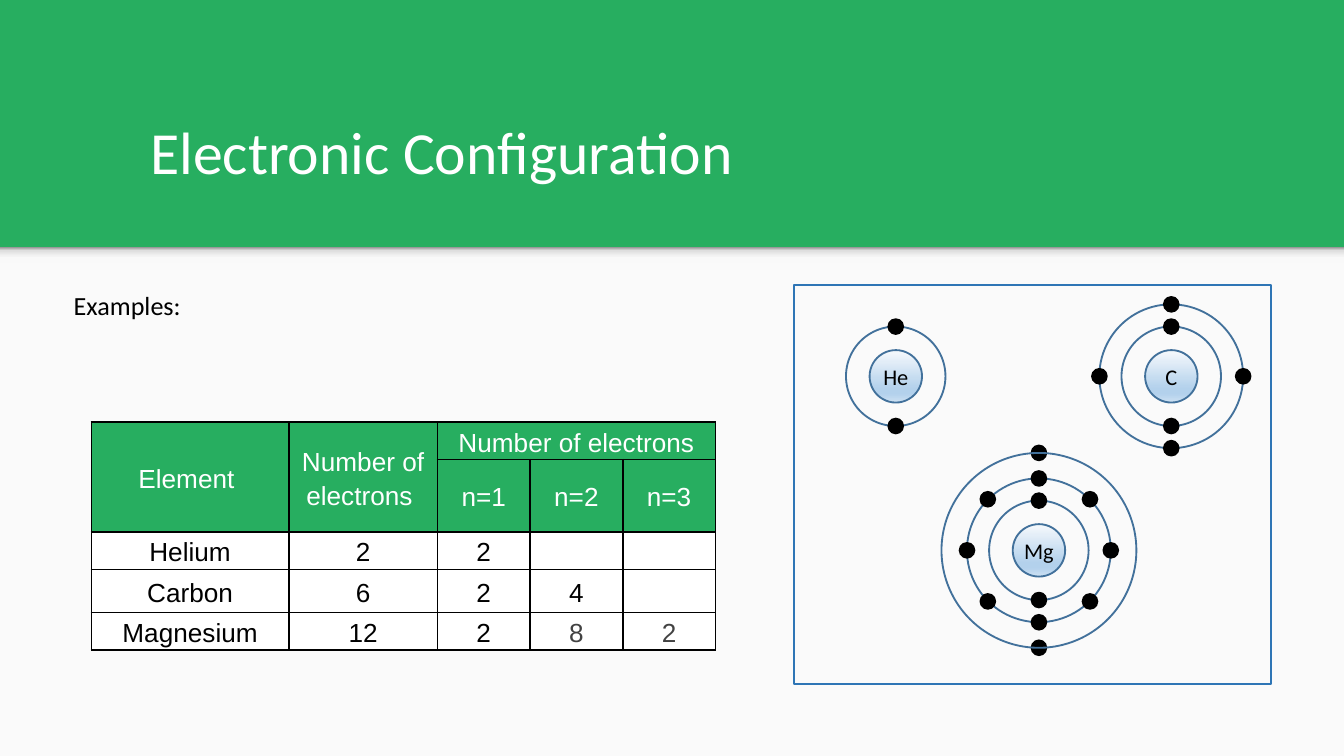
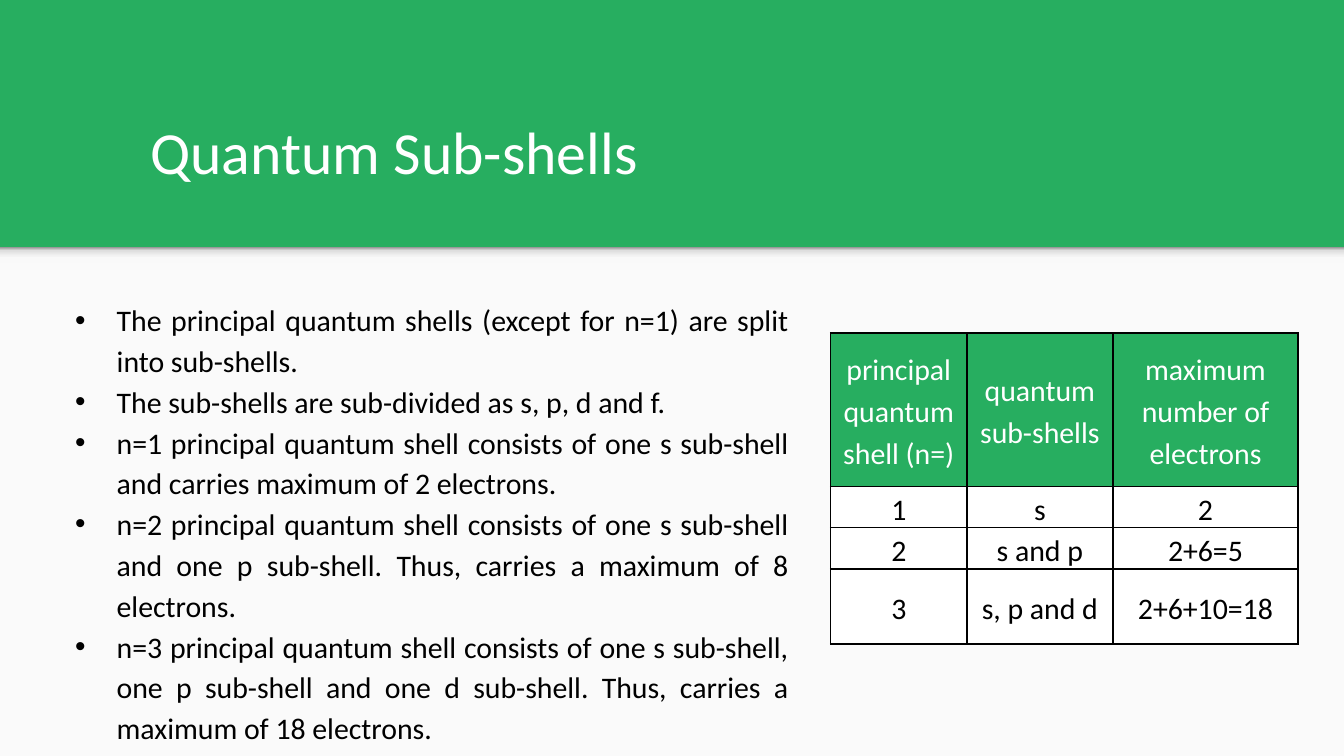
from dataclasses import dataclass
from math import cos, radians, sin

from pptx import Presentation
from pptx.dml.color import RGBColor
from pptx.enum.shapes import MSO_SHAPE as Shape
from pptx.enum.text import MSO_ANCHOR as Anchor, PP_ALIGN as Align
from pptx.oxml import parse_xml
from pptx.oxml.ns import nsdecls
from pptx.util import Emu, Pt

EMU_PER_PX = 4572  # 200 px to the inch
WIDTH, HEIGHT = 2000, 1125
BAND_HEIGHT = 368

GREEN = RGBColor(0x27, 0xAE, 0x60)
PAPER = RGBColor(0xFA, 0xFA, 0xFA)
WHITE = RGBColor(0xFF, 0xFF, 0xFF)
BLACK = RGBColor(0x00, 0x00, 0x00)
GREY = RGBColor(0x42, 0x42, 0x42)
FRAME_BLUE = RGBColor(0x2E, 0x75, 0xB5)
RING_BLUE = RGBColor(0x42, 0x71, 0x9B)

EDGE_STOPS = ((0, RGBColor(0xF9, 0xF9, 0xF9)), (36, RGBColor(0xF9, 0xF9, 0xF9)),
              (80, RGBColor(0xDE, 0xDE, 0xDE)), (100, RGBColor(0x99, 0x99, 0x99)))
NUCLEUS_STOPS = ((0, RGBColor(0xF6, 0xF9, 0xFC)), (74, RGBColor(0xB3, 0xD1, 0xEC)),
                 (83, RGBColor(0xB3, 0xD1, 0xEC)), (100, RGBColor(0xCC, 0xE0, 0xF2)))

NUCLEUS_RADIUS = 39
ELECTRON_RADIUS = 11
POLES = (90, 270)
QUARTERS = (0, 90, 180, 270)
EIGHTHS = tuple(range(0, 360, 45))


@dataclass(frozen=True)
class Box:
    x: int
    y: int
    w: int
    h: int

    def emu(self) -> tuple[Emu, ...]:
        return tuple(px(v) for v in (self.x, self.y, self.w, self.h))


@dataclass(frozen=True)
class Shell:
    radius: int
    angles: tuple[int, ...]
    ring_on_top: bool = False


@dataclass(frozen=True)
class Atom:
    symbol: str
    x: int
    y: int
    shells: tuple[Shell, ...]


@dataclass(frozen=True)
class Grid:
    box: Box
    cols: tuple[int, ...]
    rows: tuple[int, ...]
    cells: tuple[tuple[str, ...], ...]
    font: str
    size: int
    header_rows: int = 1
    merges: tuple[tuple[int, int, int, int], ...] = ()
    grey_cells: tuple[tuple[int, int], ...] = ()


ATOMS = (
    Atom("He", 1333, 560, (Shell(74, POLES),)),
    Atom("C", 1743, 560, (Shell(74, POLES), Shell(107, QUARTERS))),
    Atom("Mg", 1546, 819, (Shell(74, POLES), Shell(107, EIGHTHS),
                           Shell(145, POLES, ring_on_top=True))),
)

CONFIGURATIONS = Grid(
    Box(136, 628, 930, 286), (294, 221, 138, 138, 138), (56, 56, 56, 64, 56),
    (("Element ", "Number of electrons ", "Number of electrons", "", ""),
     ("", "", "n=1", "n=2", "n=3"),
     ("Helium", "2", "2", "", ""),
     ("Carbon", "6", "2", "4", ""),
     ("Magnesium", "12", "2", "8", "2")),
    "Arial", 14, header_rows=2,
    merges=((0, 0, 1, 0), (0, 1, 1, 1), (0, 2, 0, 4)),
    grey_cells=((4, 3), (4, 4)),
)

SUB_SHELLS = Grid(
    Box(1236, 496, 696, 460), (203, 217, 276), (228, 60, 60, 112),
    (("principal quantum shell (n=)", "quantum sub-shells", "maximum number of electrons"),
     ("1", "s", "2"),
     ("2", "s and p", "2+6=5"),
     ("3", "s, p and d", "2+6+10=18")),
    "Calibri", 16,
)

SUB_SHELL_NOTES = (
    "The principal quantum shells (except for n=1) are split into sub-shells. ",
    "The sub-shells are sub-divided as s, p, d and f.",
    "n=1 principal quantum shell consists of one s sub-shell and carries maximum of 2 electrons.",
    "n=2 principal quantum shell consists of one s sub-shell and one p sub-shell. "
    "Thus, carries a maximum of 8 electrons.",
    "n=3 principal quantum shell consists of one s sub-shell, one p sub-shell and one d "
    "sub-shell. Thus, carries a maximum of 18 electrons.",
)


def px(value: float) -> Emu:
    return Emu(round(value * EMU_PER_PX))


def set_gradient(sp, stops, angle: int) -> None:
    """Fill a shape with a linear gradient; the angle runs clockwise."""
    sp.fill.gradient()
    grad = sp._element.spPr.find("{*}gradFill")
    stop_xml = "".join(f'<a:gs pos="{pos * 1000}"><a:srgbClr val="{color}"/></a:gs>'
                       for pos, color in stops)
    grad.getparent().replace(grad, parse_xml(
        f'<a:gradFill {nsdecls("a")} rotWithShape="1"><a:gsLst>{stop_xml}</a:gsLst>'
        f'<a:lin ang="{angle * 60000}" scaled="0"/></a:gradFill>'))


def add_shape(shapes, kind, box: Box, fill=None, line=None):
    sp = shapes.add_shape(kind, *box.emu())
    sp.shadow.inherit = False
    if fill is None:
        sp.fill.background()
    else:
        sp.fill.solid()
        sp.fill.fore_color.rgb = fill
    if line is None:
        sp.line.fill.background()
    else:
        sp.line.color.rgb = line
        sp.line.width = Pt(1)
    return sp


def add_circle(shapes, x: float, y: float, radius: int, fill=None, line=RING_BLUE):
    box = Box(round(x - radius), round(y - radius), 2 * radius, 2 * radius)
    return add_shape(shapes, Shape.OVAL, box, fill, line)


def style_paragraph(p, font: str, size: int, color: RGBColor, align, spacing=None) -> None:
    p.alignment = align
    if spacing:
        p.line_spacing = spacing
    p.font.name = font
    p.font.size = Pt(size)
    p.font.color.rgb = color


def add_text(shapes, box: Box, lines, size: int, color=BLACK, align=Align.LEFT,
             spacing=None, anchor=Anchor.TOP, margin_y=20, wrap=True):
    tf = shapes.add_textbox(*box.emu()).text_frame
    tf.word_wrap = wrap
    tf.vertical_anchor = anchor
    tf.margin_left = tf.margin_right = px(20)
    tf.margin_top = tf.margin_bottom = px(margin_y)
    for i, line in enumerate(lines):
        p = tf.add_paragraph() if i else tf.paragraphs[0]
        p.text = line
        style_paragraph(p, "Calibri", size, color, align, spacing)
    return tf


def add_bullets(tf, indent: int) -> None:
    for p in tf.paragraphs:
        pPr = p._p.get_or_add_pPr()
        pPr.set("marL", str(px(indent)))
        pPr.set("indent", str(-px(indent)))
        def_rpr = pPr.find("{*}defRPr")
        def_rpr.addprevious(parse_xml(f'<a:buFont {nsdecls("a")} typeface="Arial"/>'))
        def_rpr.addprevious(parse_xml(f'<a:buChar {nsdecls("a")} char="•"/>'))


def set_borders(cell) -> None:
    tcPr = cell._tc.get_or_add_tcPr()
    for i, side in enumerate("LRTB"):
        tcPr.insert(i, parse_xml(
            f'<a:ln{side} {nsdecls("a")} w="{Pt(1)}"><a:solidFill>'
            f'<a:srgbClr val="{BLACK}"/></a:solidFill></a:ln{side}>'))


def add_grid(s, grid: Grid) -> None:
    table = s.shapes.add_table(len(grid.rows), len(grid.cols), *grid.box.emu()).table
    table.first_row = table.horz_banding = False
    for col, width in zip(table.columns, grid.cols):
        col.width = px(width)
    for row, height in zip(table.rows, grid.rows):
        row.height = px(height)
    for r, texts in enumerate(grid.cells):
        is_header = r < grid.header_rows
        for c, text in enumerate(texts):
            cell = table.cell(r, c)
            cell.fill.solid()
            cell.fill.fore_color.rgb = GREEN if is_header else WHITE
            set_borders(cell)
            cell.vertical_anchor = Anchor.MIDDLE
            cell.margin_left = cell.margin_right = px(14)
            cell.margin_top = cell.margin_bottom = 0
            color = WHITE if is_header else GREY if (r, c) in grid.grey_cells else BLACK
            p = cell.text_frame.paragraphs[0]
            if text:
                p.text = text
            style_paragraph(p, grid.font, grid.size, color, Align.CENTER, 1.15)
    for top, left, bottom, right in grid.merges:
        table.cell(top, left).merge(table.cell(bottom, right))


def add_atom(shapes, atom: Atom) -> None:
    nucleus = add_circle(shapes, atom.x, atom.y, NUCLEUS_RADIUS)
    set_gradient(nucleus, NUCLEUS_STOPS, 90)
    add_text(shapes, Box(atom.x - 42, atom.y - 30, 84, 60), [atom.symbol], 12,
             align=Align.CENTER, margin_y=10, wrap=False)
    for shell in atom.shells:
        if not shell.ring_on_top:
            add_circle(shapes, atom.x, atom.y, shell.radius)
        for angle in shell.angles:
            add_circle(shapes, atom.x + shell.radius * cos(radians(angle)),
                       atom.y - shell.radius * sin(radians(angle)),
                       ELECTRON_RADIUS, BLACK, BLACK)
        if shell.ring_on_top:
            add_circle(shapes, atom.x, atom.y, shell.radius)


def add_titled_slide(prs, title: str):
    s = prs.slides.add_slide(prs.slide_layouts[6])
    s.background.fill.solid()
    s.background.fill.fore_color.rgb = GREEN
    add_shape(s.shapes, Shape.RECTANGLE,
              Box(0, BAND_HEIGHT, WIDTH, HEIGHT - BAND_HEIGHT), PAPER)
    edge = add_shape(s.shapes, Shape.RECTANGLE, Box(0, BAND_HEIGHT, WIDTH, 24))
    set_gradient(edge, EDGE_STOPS, 270)
    add_text(s.shapes, Box(204, 130, 1380, 168), [title], 32, WHITE, anchor=Anchor.BOTTOM)
    return s


def build_configuration_slide(prs) -> None:
    s = add_titled_slide(prs, "Electronic Configuration")
    add_text(s.shapes, Box(90, 404, 1688, 546), ["Examples: "], 14,
             align=Align.JUSTIFY, spacing=1.14)
    diagram = s.shapes.add_group_shape().shapes
    add_shape(diagram, Shape.RECTANGLE, Box(1182, 424, 710, 594), line=FRAME_BLUE)
    for atom in ATOMS:
        add_atom(diagram, atom)
    add_grid(s, CONFIGURATIONS)


def build_sub_shell_slide(prs) -> None:
    s = add_titled_slide(prs, "Quantum Sub-shells")
    tf = add_text(s.shapes, Box(92, 422, 1102, 608), SUB_SHELL_NOTES, 16,
                  align=Align.JUSTIFY, spacing=1.14)
    add_bullets(tf, 62)
    add_grid(s, SUB_SHELLS)


def main() -> None:
    prs = Presentation()
    prs.slide_width, prs.slide_height = px(WIDTH), px(HEIGHT)
    build_configuration_slide(prs)
    build_sub_shell_slide(prs)
    prs.save("out.pptx")


if __name__ == "__main__":
    main()
